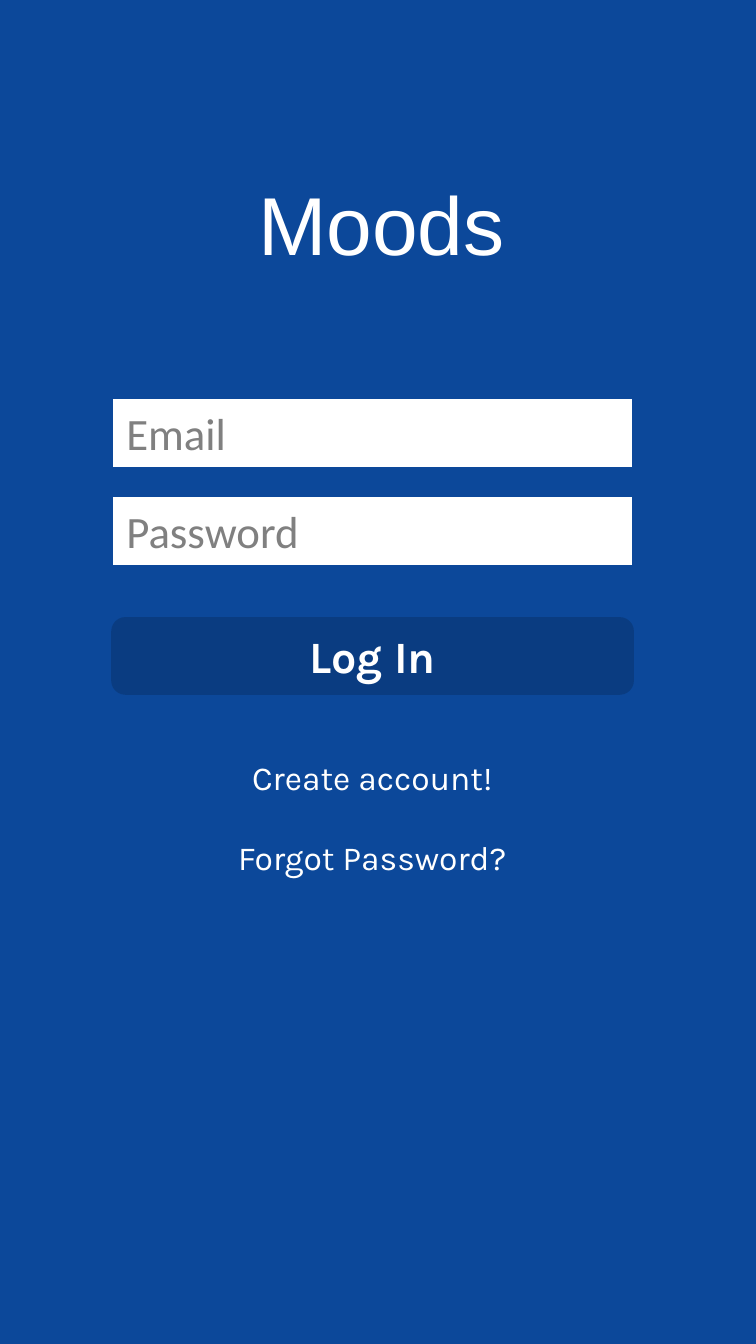
from pptx import Presentation
from pptx.dml.color import RGBColor
from pptx.enum.shapes import MSO_SHAPE
from pptx.enum.text import MSO_ANCHOR, PP_ALIGN
from pptx.util import Pt

COLORS = {"page": "0C489A", "white": "FFFFFF", "hint": "808080", "button": "0A3C81"}


def color(name):
    return RGBColor.from_string(COLORS[name])


def write(shape, text, font, size, ink="white", bold=False,
          align=PP_ALIGN.CENTER, anchor=MSO_ANCHOR.TOP):
    frame = shape.text_frame
    frame.word_wrap = True
    frame.vertical_anchor = anchor
    frame.text = text
    line = frame.paragraphs[0]
    line.alignment = align
    face = line.runs[0].font
    face.name, face.size, face.bold = font, Pt(size), bold
    face.color.rgb = color(ink)


def add_block(slide, kind, box, fill):
    shape = slide.shapes.add_shape(kind, *map(Pt, box))
    shape.shadow.inherit = False
    shape.fill.solid()
    shape.fill.fore_color.rgb = color(fill)
    shape.line.fill.background()
    return shape


def add_title(slide, box, text):
    label = slide.shapes.add_textbox(*map(Pt, box))
    write(label, text, "Arial", 44, anchor=MSO_ANCHOR.MIDDLE)


def add_fields(slide, box, hints, pitch):
    left, top, width, height = box
    for i, hint in enumerate(hints):
        place = left, top + i * pitch, width, height
        field = add_block(slide, MSO_SHAPE.RECTANGLE, place, "white")
        write(field, hint, "Calibri", 24, "hint", align=PP_ALIGN.LEFT)


def add_button(slide, box, text):
    button = add_block(slide, MSO_SHAPE.ROUNDED_RECTANGLE, box, "button")
    button.line.color.rgb = color("button")
    button.line.width = Pt(2)
    write(button, text, "Karla", 24, bold=True, anchor=MSO_ANCHOR.MIDDLE)


def add_links(slide, box, texts, pitch):
    left, top, width, height = box
    for i, text in enumerate(texts):
        place = left, top + i * pitch, width, height
        link = slide.shapes.add_textbox(*map(Pt, place))
        write(link, text, "Karla", 18)


def main():
    deck = Presentation()
    deck.slide_width, deck.slide_height = Pt(405), Pt(720)
    slide = deck.slides.add_slide(deck.slide_layouts[6])
    slide.background.fill.solid()
    slide.background.fill.fore_color.rgb = color("page")

    add_title(slide, (32.4, 42.5, 344, 154), "Moods")
    add_fields(slide, (60.6, 213.8, 278, 36.3), ("Email", "Password"), 52.5)
    add_button(slide, (60.6, 331.6, 278, 39.6), "Log In")
    add_links(slide, (108.7, 401.8, 181.5, 29),
              ("Create account!", "Forgot Password?"), 43)
    deck.save("out.pptx")


if __name__ == "__main__":
    main()
